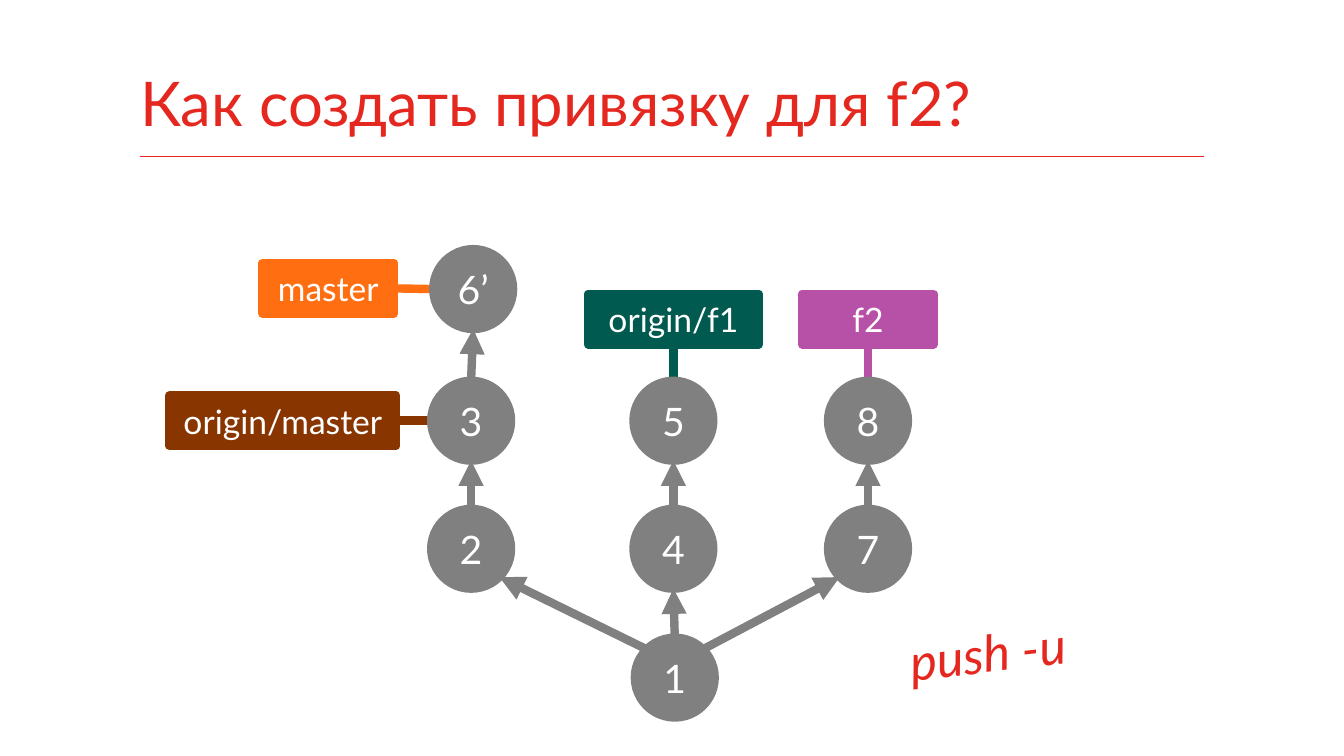
from pptx import Presentation
from pptx.dml.color import RGBColor
from pptx.enum.shapes import MSO_CONNECTOR, MSO_SHAPE
from pptx.enum.text import MSO_ANCHOR, MSO_AUTO_SIZE, PP_ALIGN
from pptx.oxml.ns import qn
from pptx.util import Pt
from lxml.etree import SubElement

TITLE = "Как создать привязку для f2?"
HINT = "push -u"
RED, GREY, WHITE = "E5281F", "808080", "FFFFFF"

# commit: centre x, centre y
NODES = {
    "1": (482, 484),
    "2": (336.5, 392), "3": (336.5, 300.5), "6’": (338, 206.5),
    "4": (481, 392), "5": (481, 300.5),
    "7": (620, 392), "8": (620, 300.5),
}
LINKS = [("1", "2"), ("1", "4"), ("1", "7"), ("2", "3"),
         ("3", "6’"), ("4", "5"), ("7", "8")]
# branch: commit, centre x, centre y, width, colour
LABELS = {
    "master": ("6’", 234.5, 206, 94, "FF6E11"),
    "origin/master": ("3", 202, 300.5, 162, "883500"),
    "origin/f1": ("5", 481, 228, 122, "005A4F"),
    "f2": ("8", 620, 228, 94, "B651A7"),
}
SIZE, HIGH, THICK = 57, 36, 6
HALF = SIZE / 2
DIAG = HALF * 0.71


def color(code):
    return RGBColor.from_string(code)


def write(shape, text, size=24, tint=WHITE, align=PP_ALIGN.CENTER,
          anchor=MSO_ANCHOR.MIDDLE, inset=(7.2, 3.6, 7.2, 3.6),
          italic=None, wrap=True):
    frame = shape.text_frame
    frame.auto_size = MSO_AUTO_SIZE.NONE
    frame.word_wrap = wrap
    frame.vertical_anchor = anchor
    (frame.margin_left, frame.margin_top,
     frame.margin_right, frame.margin_bottom) = map(Pt, inset)
    para = frame.paragraphs[0]
    para.alignment = align
    run = para.add_run()
    run.text = text
    font = run.font
    font.name, font.size, font.italic = "Lato", Pt(size), italic
    font.color.rgb = color(tint)


def draw(kind, x, y, wide, high, tint):
    """Add a filled shape centred on x, y."""
    shape = shapes.add_shape(kind, Pt(x - wide / 2), Pt(y - high / 2),
                             Pt(wide), Pt(high))
    shape.shadow.inherit = False
    shape.fill.solid()
    shape.fill.fore_color.rgb = color(tint)
    shape.line.color.rgb = color(tint)
    shape.line.width = Pt(THICK)
    return shape


def join(start, end, tint, width=THICK, arrow=False):
    line = shapes.add_connector(MSO_CONNECTOR.STRAIGHT,
                                *map(Pt, (*start, *end)))
    line.line.color.rgb = color(tint)
    line.line.width = Pt(width)
    if arrow:
        SubElement(line.line._get_or_add_ln(), qn("a:tailEnd"), type="triangle")
    SubElement(line._element.spPr, qn("a:effectLst"))


def link(low, top):
    """Point an arrow from one commit up to the next."""
    (x, y), (u, v) = NODES[low], NODES[top]
    if abs(u - x) < SIZE:
        start, end = (x, y - HALF), (u, v + HALF)
    else:
        side = DIAG if u > x else -DIAG
        start, end = (x + side, y - DIAG), (u - side, v + DIAG)
    join(start, end, GREY, arrow=True)


def tie(node, x, y, wide, tint):
    """Join a branch label to its commit, sideways or down."""
    u, v = NODES[node]
    if x < u - SIZE:
        join((x + wide / 2, y), (u - HALF, v), tint)
    else:
        join((x, y + HIGH / 2), (u, v - HALF), tint)


deck = Presentation()
deck.slide_width, deck.slide_height = Pt(960), Pt(540)
slide = deck.slides.add_slide(deck.slide_layouts[5])
shapes = slide.shapes

title = shapes.title
title.left, title.top, title.width, title.height = map(Pt, (100, 26, 760, 85))
write(title, TITLE, size=44, tint=RED, align=PP_ALIGN.LEFT,
      anchor=MSO_ANCHOR.BOTTOM, inset=(0, 3.6, 0, 11.5))
join((100, 111.6), (860, 111.6), "E52319", width=0.75)

for node, x, y, wide, tint in LABELS.values():
    tie(node, x, y, wide, tint)
for low, top in LINKS:
    link(low, top)
for name, (x, y) in NODES.items():
    write(draw(MSO_SHAPE.OVAL, x, y, SIZE, SIZE, GREY), name, size=28)
for name, (node, x, y, wide, tint) in LABELS.items():
    write(draw(MSO_SHAPE.RECTANGLE, x, y, wide, HIGH, tint), name, wrap=False)

hint = shapes.add_textbox(*map(Pt, (649.5, 438.5, 140.5, 51)))
hint.rotation = 353.6
write(hint, HINT, size=36, tint=RED, align=PP_ALIGN.LEFT,
      anchor=MSO_ANCHOR.BOTTOM, inset=(0, 3.6, 7.2, 3.6), italic=True)

deck.save("out.pptx")
